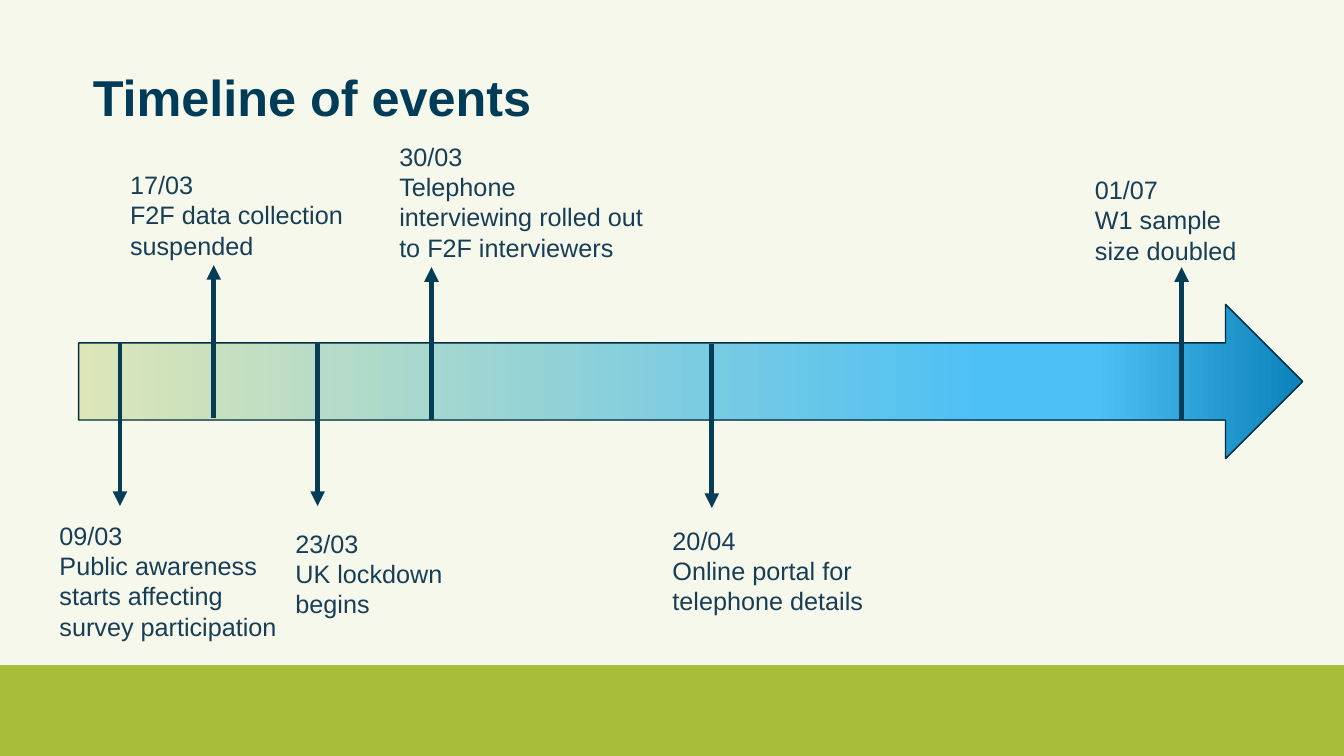
from copy import deepcopy

from lxml import etree
from pptx import Presentation
from pptx import util as u
from pptx.dml import color
from pptx.enum import shapes, text
from pptx.oxml import ns

EVENTS = [  # arrow x, arrow start y, arrow end y, label box, date, wording
    (1.19, 3.39, 5.02, (0.59, 5.1, 2.34, 1.31), "09/03",
     "Public awareness starts affecting survey participation"),
    (2.12, 4.15, 2.63, (1.29, 1.62, 2.34, 1.01), "17/03",
     "F2F data collection suspended"),
    (3.15, 3.39, 5.02, (2.93, 5.18, 1.82, 1.01), "23/03",
     "UK lockdown begins"),
    (4.28, 4.17, 2.65, (3.96, 1.34, 2.62, 1.31), "30/03",
     "Telephone interviewing rolled out to F2F interviewers"),
    (7.06, 3.41, 5.04, (6.67, 5.15, 2.17, 1.01), "20/04",
     "Online portal for telephone details"),
    (11.72, 4.17, 2.65, (10.86, 1.67, 1.58, 1.01), "01/07",
     "W1 sample size doubled"),
]
TIME_STOPS = [(0, "DDE6B6"), (0.74, "4DC0F5"), (0.83, "4DC0F5"), (1, "0B82BA")]


def rgb(value):
    return color.RGBColor.from_string(value)


def inches(*values):
    return [u.Inches(v) for v in values]


def apply(target, values):
    """Set each named attribute of target."""
    for name, value in values.items():
        setattr(target, name, value)


class TimelineSlide:
    font = "Arial"
    frame = dict(word_wrap=True, auto_size=text.MSO_AUTO_SIZE.SHAPE_TO_FIT_TEXT)

    def __init__(self, prs):
        self.s = prs.slides.add_slide(prs.slide_layouts[5])
        fill = self.s.background.fill
        fill.solid()
        fill.fore_color.rgb = rgb("F6F8EB")

    def set_text(self, sp, wording, box, margins, size, hue, bold=False, anchor="TOP",
                 **paragraph):
        apply(sp, dict(zip(("left", "top", "width", "height"), inches(*box))))
        tf = sp.text_frame
        sides = ("margin_left", "margin_top", "margin_right", "margin_bottom")
        apply(tf, dict(zip(sides, inches(*margins))))
        apply(tf, dict(self.frame, vertical_anchor=text.MSO_ANCHOR[anchor]))
        p = tf.paragraphs[0]
        p.text = wording
        apply(p, dict(alignment=text.PP_ALIGN.LEFT, **paragraph))
        for r in p.runs:
            apply(r.font, dict(name=self.font, size=u.Pt(size), bold=bold))
            r.font.color.rgb = rgb(hue)

    def title(self, wording):
        self.set_text(self.s.shapes.title, wording, (0.92, 0.7, 11.5, 0.58), (0, 0, 0, 0),
                      36, "003C57", bold=True, line_spacing=0.95, space_after=u.Pt(10))

    def shape(self, kind, box):
        sp = self.s.shapes.add_shape(kind, *inches(*box))
        sp.shadow.inherit = False
        return sp

    def band(self, box, hue):
        sp = self.shape(shapes.MSO_SHAPE.RECTANGLE, box)
        sp.fill.solid()
        sp.fill.fore_color.rgb = rgb(hue)
        sp.line.fill.background()

    def time_arrow(self, box, stops, outline):
        sp = self.shape(shapes.MSO_SHAPE.RIGHT_ARROW, box)
        sp.fill.gradient()
        sp.fill.gradient_angle = 0
        stop_list = sp._element.spPr.find(".//" + ns.qn("a:gsLst"))
        for _ in range(len(stops) - len(stop_list)):
            stop_list.append(deepcopy(stop_list[0]))
        for stop, (position, hue) in zip(sp.fill.gradient_stops, stops):
            stop.position = position
            stop.color.rgb = rgb(hue)
        sp.line.color.rgb = rgb(outline)
        sp.line.width = u.Pt(1)

    def event(self, x, start, end, box, date, wording):
        """Group an arrow with its dated label."""
        group = self.s.shapes.add_group_shape().shapes
        arrow = group.add_connector(shapes.MSO_CONNECTOR.STRAIGHT, *inches(x, start, x, end))
        arrow.line.color.rgb = rgb("053D57")
        arrow.line.width = u.Pt(3.5)
        line = arrow._element.spPr.find(ns.qn("a:ln"))
        etree.SubElement(line, ns.qn("a:tailEnd"), type="triangle")
        etree.SubElement(arrow._element.spPr, ns.qn("a:effectLst"))
        label = group.add_textbox(*inches(*box))
        self.set_text(label, f"{date}\n{wording}", box, (0, 0.05, 0.1, 0.05),
                      18, "183E56", anchor="BOTTOM")


def main():
    prs = Presentation()
    prs.slide_width, prs.slide_height = inches(13.33, 7.5)
    slide = TimelineSlide(prs)
    slide.band((0, 6.6, 13.33, 0.9), "A8BD3A")
    slide.title("Timeline of events")
    slide.time_arrow((0.78, 3.02, 12.14, 1.53), TIME_STOPS, "042D40")
    for event in EVENTS:
        slide.event(*event)
    prs.save("out.pptx")


if __name__ == "__main__":
    main()
